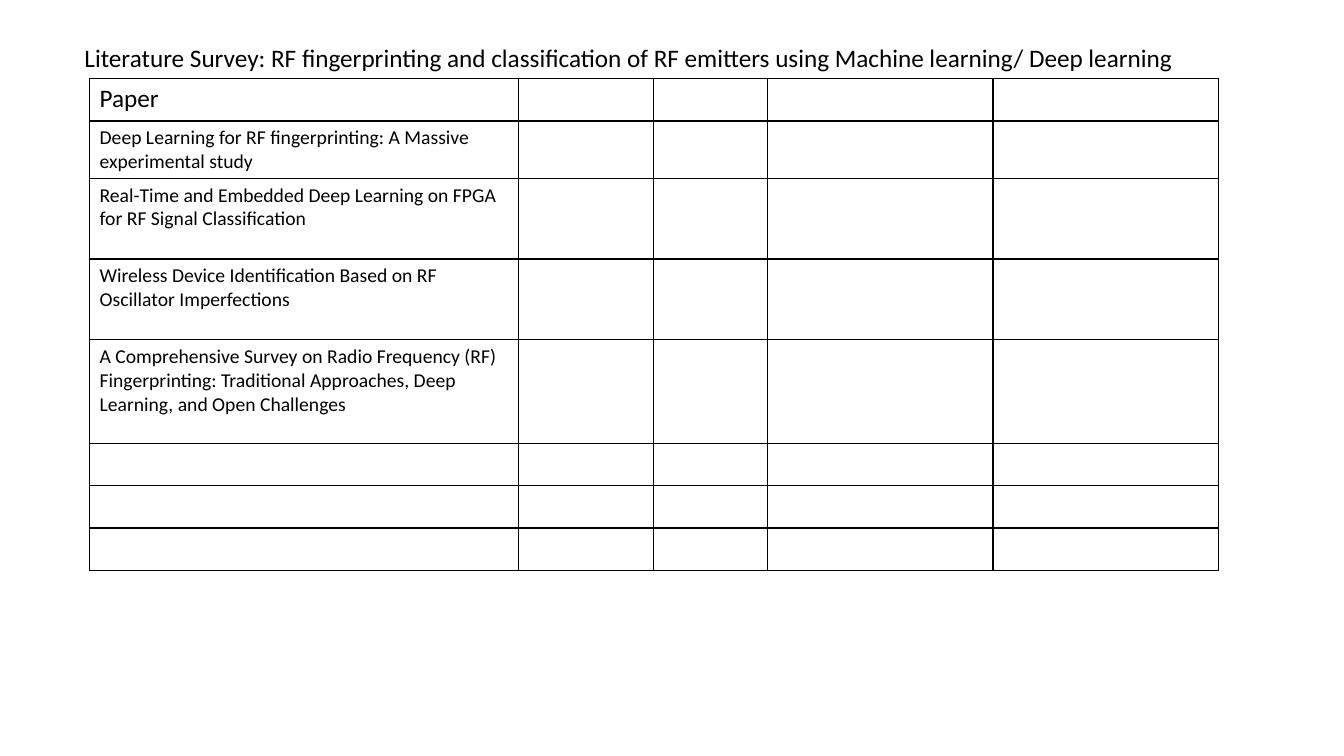
from lxml.etree import SubElement as Sub
from pptx import Presentation as Deck
from pptx.dml.color import RGBColor as Rgb
from pptx.oxml.ns import qn
from pptx.util import Inches as Inch, Pt

WIDE, HIGH = 13.33, 7.5
INK = "000000"
TITLE = ("Literature Survey: RF fingerprinting and classification of RF emitters "
         "using Machine learning/ Deep learning ")
PAPERS = [
    "Deep Learning for RF fingerprinting: A Massive experimental study",
    "Real-Time and Embedded Deep Learning on FPGA \nfor RF Signal Classification ",
    "Wireless Device Identification Based on RF Oscillator Imperfections\u00a0",
    "A Comprehensive Survey on Radio Frequency (RF)\u00a0\n"
    "Fingerprinting: Traditional Approaches, Deep\u00a0\n"
    "Learning, and Open Challenges\u00a0",
]
COLS = [4.25, 1.34, 1.13, 2.24, 2.24]
ROWS = [0.42, 0.57, 0.8, 0.8, 1.03] + [0.42] * 3


def color(code):
    return Rgb.from_string(code)


def write(frame, text, size=18, font="Calibri", ink=INK):
    frame.text = text
    for par in frame.paragraphs:
        for run in par.runs:
            run.font.size = Pt(size)
            run.font.name = font
            run.font.color.rgb = color(ink)


def border(cell, ink=INK, width=1):
    props = cell._tc.get_or_add_tcPr()
    for side in ("lnL", "lnR", "lnT", "lnB"):
        line = Sub(props, qn("a:" + side), w=str(Pt(width)))
        fill = Sub(line, qn("a:solidFill"))
        Sub(fill, qn("a:srgbClr"), val=ink)


def title(slide, text, left, top, width, height):
    box = slide.shapes.add_textbox(Inch(left), Inch(top), Inch(width), Inch(height))
    box.text_frame.word_wrap = True
    write(box.text_frame, text)


def grid(slide, left, top, cols, rows):
    frame = slide.shapes.add_table(len(rows), len(cols), Inch(left), Inch(top),
                                   Inch(sum(cols)), Inch(sum(rows)))
    table = frame.table
    table.first_row = table.horz_banding = False
    for col, width in zip(table.columns, cols):
        col.width = Inch(width)
    for row, height in zip(table.rows, rows):
        row.height = Inch(height)
    for cell in table.iter_cells():
        border(cell)
        cell.fill.background()
    return table


def main():
    deck = Deck()
    deck.slide_width, deck.slide_height = Inch(WIDE), Inch(HIGH)
    slide = deck.slides.add_slide(deck.slide_layouts[6])
    title(slide, TITLE, WIDE * 0.0555, HIGH * 0.05, WIDE * 0.933, 0.4)
    survey = grid(slide, WIDE / 15, HIGH * 0.104, COLS, ROWS)
    write(survey.cell(0, 0).text_frame, "Paper")
    for row, paper in enumerate(PAPERS, 1):
        write(survey.cell(row, 0).text_frame, paper, size=14)
    deck.save("out.pptx")


main()
